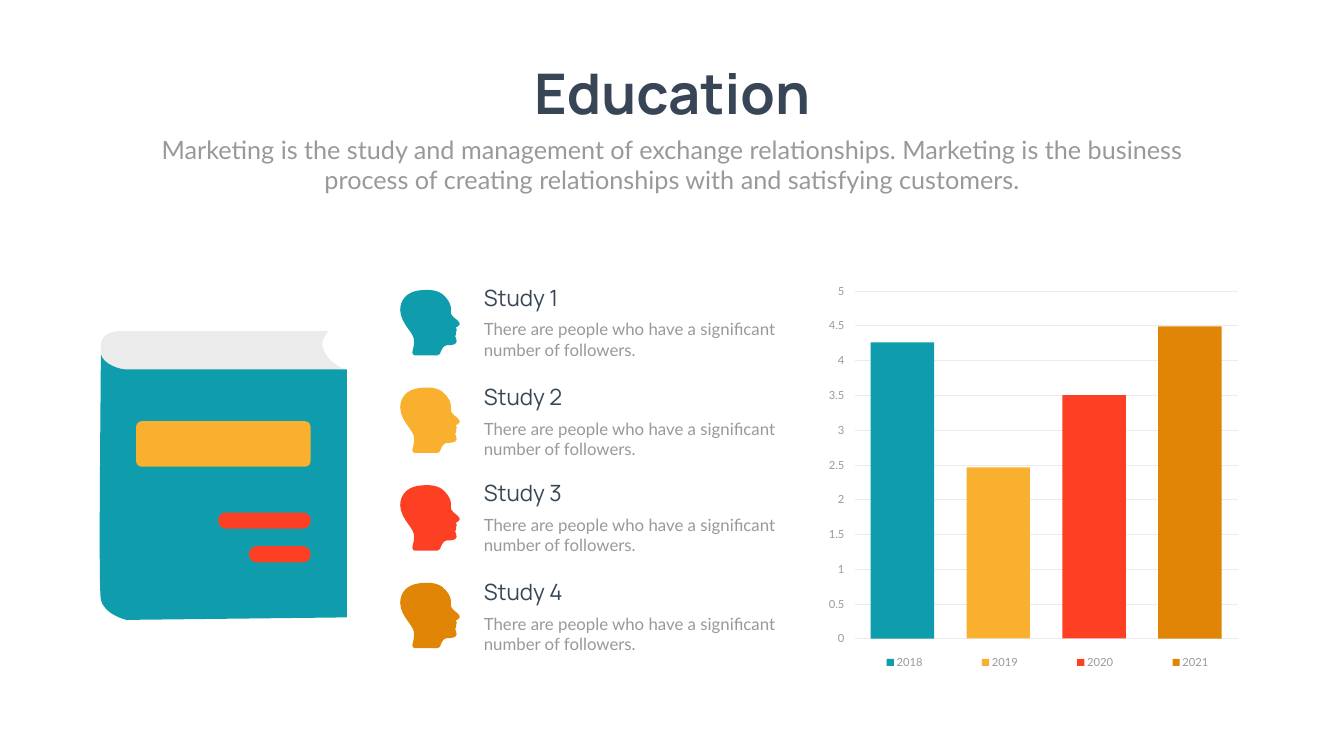
"""Build the Education slide: a book, four studies and a column diagram by year."""
from lxml import etree
from pptx import Presentation
from pptx.dml.color import RGBColor
from pptx.enum.shapes import MSO_CONNECTOR, MSO_SHAPE
from pptx.enum.text import PP_ALIGN
from pptx.oxml.ns import qn
from pptx.util import Cm, Pt

STRAIGHT = MSO_CONNECTOR.STRAIGHT
RECTANGLE = MSO_SHAPE.RECTANGLE
ROUNDED = MSO_SHAPE.ROUNDED_RECTANGLE
LEFT, CENTER, RIGHT = PP_ALIGN.LEFT, PP_ALIGN.CENTER, PP_ALIGN.RIGHT

COLORS = {
    "background": "FEFFFE", "navy": "374556", "gray": "999999", "pale": "EBEBEB",
    "teal": "0F9DAD", "yellow": "FAB02F", "red": "FD4024", "orange": "E08505",
}
TITLE = "Education"
SUBTITLE = (
    "Marketing is the study and management of exchange relationships. "
    "Marketing is the business process of creating relationships with "
    "and satisfying customers."
)
STUDY_TEXT = "There are people who have a significant number of followers."
STUDIES = [
    ("Study 1", "teal", 14.17), ("Study 2", "yellow", 19.18),
    ("Study 3", "red", 24.03), ("Study 4", "orange", 29.03),
]
YEARS = [
    ("2018", 4.26, "teal"), ("2019", 2.46, "yellow"),
    ("2020", 3.5, "red"), ("2021", 4.49, "orange"),
]
TICKS = ["5", "4.5", "4", "3.5", "3", "2.5", "2", "1.5", "1", "0.5", "0"]

UNIT = 0.0254
PAGES = [
    (251, 734), (368, 734, 627, 734, 688, 734), (688, 734, 652, 724, 642, 693),
    (632, 678, 652, 657, 652, 657), (241, 657), (195, 657, 200, 688, 200, 688),
    (200, 703), (206, 724, 236, 734, 251, 734),
]
COVER = [
    (200, 1189), (206, 1220, 251, 1230, 251, 1230), (688, 1225), (688, 733),
    (251, 733), (236, 733, 206, 723, 200, 703), (200, 779, 195, 1159, 200, 1189),
]
HEAD = [
    (16, 77), (10, 69, 1, 55, 1, 41), (1, 24, 11, 5, 40, 2), (49, 1, 70, -1, 84, 9),
    (95, 18, 99, 26, 101, 33), (103, 41, 100, 44, 102, 49), (104, 54, 108, 56, 114, 61),
    (118, 65, 120, 67, 119, 70), (117, 75, 112, 74, 111, 76), (111, 77, 112, 78, 113, 79),
    (113, 80, 113, 80, 113, 81), (113, 82, 113, 82, 113, 83), (112, 84, 111, 84, 111, 84),
    (111, 84, 112, 85, 112, 85), (113, 86, 113, 88, 112, 89),
    (112, 90, 111, 91, 110, 93), (110, 95, 114, 100, 113, 104),
    (111, 110, 104, 111, 93, 111), (86, 111, 81, 124, 80, 128),
    (79, 130, 77, 131, 75, 131), (30, 131), (27, 131, 25, 128, 25, 125),
    (27, 117, 30, 105, 28, 98), (27, 92, 21, 84, 16, 77),
]
BOOK_BARS = [
    (6.86, 21.23, 8.79, 2.29, 0.12, "yellow"),
    (11, 25.83, 4.65, 0.81, 0.45, "red"),
    (12.55, 27.53, 3.1, 0.81, 0.45, "red"),
]
HEAD_LEFT, HEAD_TOP, HEAD_STEP = 20.14, 14.58, 4.92
STUDY_LEFT, BODY_DROP = 24.13, 1.79
GRID_LEFT, GRID_RIGHT, GRID_TOP, GRID_BOTTOM = 43.1, 62.38, 14.66, 32.18
TICK_LEFT, TICK_WIDTH, TICK_HEIGHT = 41.17, 1.63, 0.94
COLUMN_LEFT, COLUMN_STEP, COLUMN_WIDTH = 43.87, 4.83, 3.2
LEGEND_LEFT, LEGEND_STEP, SWATCH_TOP, SWATCH_SIZE = 44.68, 4.8, 33.2, 0.36


def rgb(name):
    return RGBColor.from_string(COLORS[name])


def paint(shape, color):
    shape.fill.solid()
    shape.fill.fore_color.rgb = rgb(color)
    shape.line.fill.background()
    shape.shadow.inherit = False


def add_block(shapes, kind, place, color):
    block = shapes.add_shape(kind, *map(Cm, place))
    paint(block, color)
    return block


def add_text(shapes, text, place, size, color, name="Lato", align=LEFT, bold=False, wrap=True):
    box = shapes.add_textbox(*map(Cm, place))
    box.text_frame.word_wrap = wrap
    para = box.text_frame.paragraphs[0]
    para.text, para.alignment = text, align
    font = para.font
    font.name, font.size, font.bold = name, Pt(size), bold
    font.color.rgb = rgb(color)


def add_outline(shapes, outline, color, left=0, top=0):
    segments = [
        [(Cm(left + x * UNIT), Cm(top + y * UNIT)) for x, y in zip(part[::2], part[1::2])]
        for part in outline
    ]
    builder = shapes.build_freeform(*segments[0][0])
    builder.add_line_segments([segment[-1] for segment in segments[1:]])
    shape = builder.convert_to_shape()
    paint(shape, color)
    lines = list(shape._element.iter(qn("a:lnTo")))
    for line, segment in zip(lines, segments[1:]):
        if len(segment) == 3:
            line.tag = qn("a:cubicBezTo")
            line.remove(line[0])
            for x, y in segment:
                point = etree.SubElement(line, qn("a:pt"))
                point.set("x", str(x - shape.left))
                point.set("y", str(y - shape.top))


def add_book(page):
    book = page.shapes.add_group_shape().shapes
    add_outline(book, PAGES, "pale")
    add_outline(book, COVER, "teal")
    for *place, radius, color in BOOK_BARS:
        add_block(book, ROUNDED, place, color).adjustments[0] = radius


def add_studies(page):
    heads = page.shapes.add_group_shape().shapes
    for index, (name, color, top) in enumerate(STUDIES):
        add_outline(heads, HEAD, color, HEAD_LEFT, HEAD_TOP + index * HEAD_STEP)
        study = page.shapes.add_group_shape().shapes
        add_text(study, name, (STUDY_LEFT, top, 10.69, 1.63), 32, "navy", "Manrope")
        add_text(study, STUDY_TEXT, (STUDY_LEFT, top + BODY_DROP, 17.93, 2.31), 24, "gray")


def add_grid(page):
    step = (GRID_BOTTOM - GRID_TOP) / (len(TICKS) - 1)
    for index, tick in enumerate(TICKS):
        level = GRID_TOP + index * step
        place = (TICK_LEFT, level - TICK_HEIGHT / 2, TICK_WIDTH, TICK_HEIGHT)
        add_text(page.shapes, tick, place, 16, "gray", align=RIGHT)
        ends = (GRID_LEFT, level, GRID_RIGHT, level)
        line = page.shapes.add_connector(STRAIGHT, *map(Cm, ends))
        line.line.color.rgb, line.line.width = rgb("pale"), Pt(0.5)
        etree.SubElement(line._element.spPr, qn("a:effectLst"))


def add_columns(page):
    scale = (GRID_BOTTOM - GRID_TOP) / float(TICKS[0])
    for index, (year, value, color) in enumerate(YEARS):
        left, height = COLUMN_LEFT + index * COLUMN_STEP, value * scale
        place = (left, GRID_BOTTOM - height, COLUMN_WIDTH, height)
        add_block(page.shapes, RECTANGLE, place, color)
        left = LEGEND_LEFT + index * LEGEND_STEP
        add_block(page.shapes, RECTANGLE, (left, SWATCH_TOP, SWATCH_SIZE, SWATCH_SIZE), color)
        add_text(page.shapes, year, (left + 0.25, 32.92, 1.83, 0.94), 16, "gray", wrap=False)


def main():
    deck = Presentation()
    deck.slide_width, deck.slide_height = Cm(67.72), Cm(38.1)
    page = deck.slides.add_slide(deck.slide_layouts[6])
    page.background.fill.solid()
    page.background.fill.fore_color.rgb = rgb("background")
    add_text(page.shapes, TITLE, (26.21, 2.84, 15.32, 3.68), 80, "navy", "Manrope",
             CENTER, bold=True, wrap=False)
    add_text(page.shapes, SUBTITLE, (7.42, 6.63, 52.88, 3.33), 36, "gray", align=CENTER)
    add_book(page)
    add_studies(page)
    add_grid(page)
    add_columns(page)
    deck.save("out.pptx")


if __name__ == "__main__":
    main()
